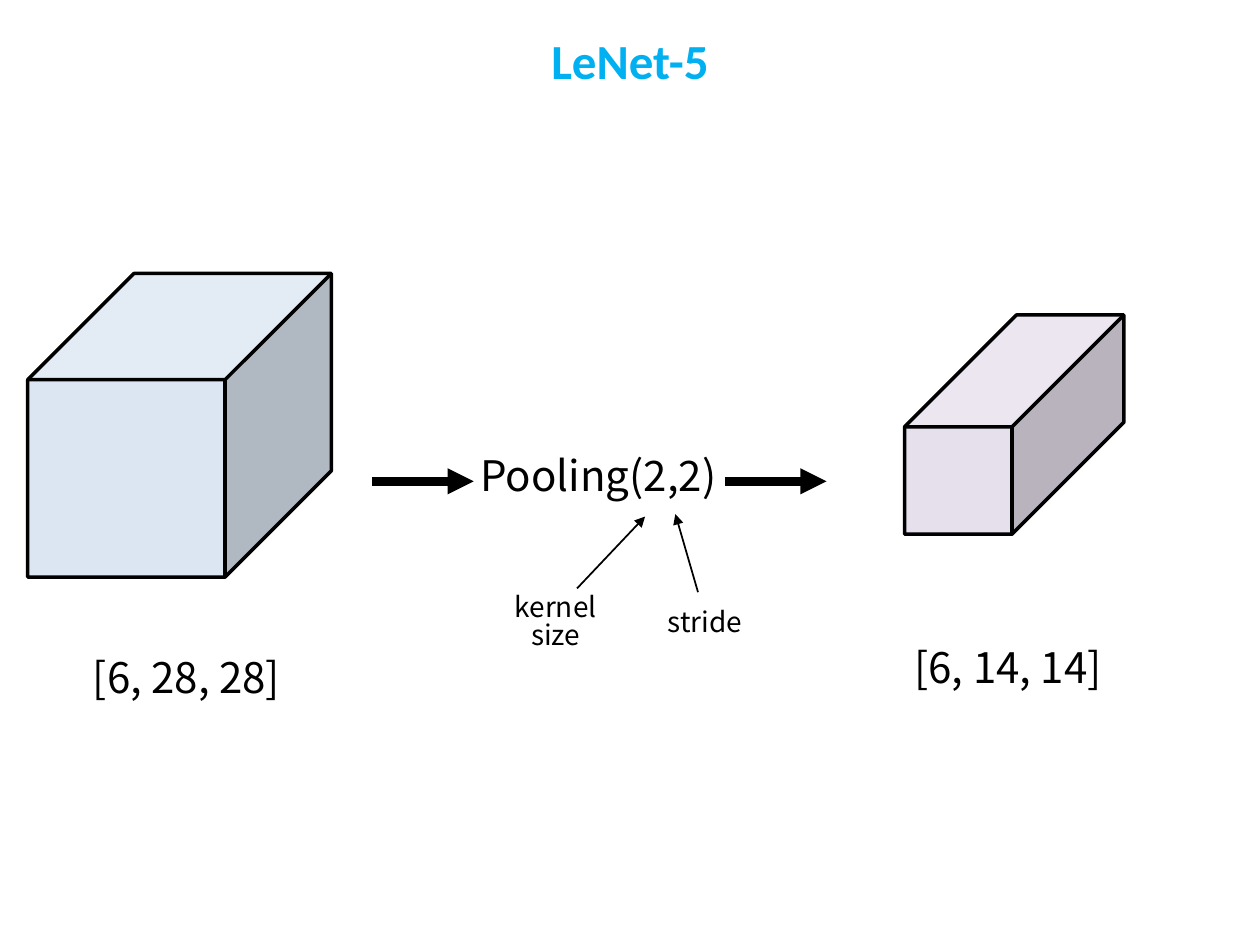
from dataclasses import dataclass

from lxml import etree
from pptx import Presentation
from pptx.dml.color import RGBColor
from pptx.enum.shapes import MSO_CONNECTOR, MSO_SHAPE
from pptx.enum.text import MSO_ANCHOR, PP_ALIGN
from pptx.oxml.ns import qn
from pptx.util import Inches, Pt

STRAIGHT = MSO_CONNECTOR.STRAIGHT
CUBE = MSO_SHAPE.CUBE
TOP, MIDDLE = MSO_ANCHOR.TOP, MSO_ANCHOR.MIDDLE
CENTER = PP_ALIGN.CENTER
TITLE_ONLY = 5

TITLE_FONT = "Calibri"
BODY_FONT = "Noto Sans CJK KR"
BLACK = "000000"
TITLE_BLUE = "00B0F0"
INPUT_BLUE = "DCE6F2"
OUTPUT_PURPLE = "E6E0EC"

FLOW_Y = 3.82
FLOW_LENGTH = 0.81


@dataclass
class FeatureMap:
    """A tensor drawn as a cube, with its shape written below."""
    left: float
    top: float
    size: float
    depth: float
    fill: str
    label: str
    label_left: float
    label_top: float


@dataclass
class Argument:
    """A note on a pooling argument, with the arrow that points to it."""
    text: str
    box: tuple[float, float, float, float]
    arrow_start: tuple[float, float]
    arrow_end: tuple[float, float]
    line_spacing: float


FEATURE_MAPS = [
    FeatureMap(0.22, 2.17, 2.41, 0.35, INPUT_BLUE, "[6, 28, 28]", 0.59, 5.17),
    FeatureMap(7.18, 2.5, 1.74, 0.51, OUTPUT_PURPLE, "[6, 14, 14]", 7.11, 5.09),
]
ARGUMENTS = [
    Argument("kernel\nsize", (3.92, 4.67, 0.98, 0.55), (4.58, 4.67), (5.12, 4.1), 0.82),
    Argument("stride", (5.15, 4.78, 0.89, 0.34), (5.54, 4.7), (5.36, 4.08), 0.9),
]
FLOW_STARTS = [2.95, 5.75]


def rgb(color: str) -> RGBColor:
    return RGBColor.from_string(color)


def place(shape, box: tuple[float, float, float, float]) -> None:
    shape.left, shape.top, shape.width, shape.height = map(Inches, box)


def write(shape, text: str, *, size: float = 24, font: str = BODY_FONT,
          color: str = BLACK, bold: bool = False, anchor=TOP,
          line_spacing: float = 0.9, inset: float | None = None) -> None:
    frame = shape.text_frame
    frame.word_wrap = True
    frame.vertical_anchor = anchor
    if inset is not None:
        frame.margin_left = frame.margin_right = Inches(inset)
        frame.margin_top = frame.margin_bottom = Inches(inset)
    frame.text = text
    for paragraph in frame.paragraphs:
        paragraph.alignment = CENTER
        paragraph.line_spacing = line_spacing
        for run in paragraph.runs:
            run.font.size = Pt(size)
            run.font.name = font
            run.font.bold = bold
            run.font.color.rgb = rgb(color)
            east_asian = etree.SubElement(run.font._element, qn("a:ea"))
            east_asian.set("typeface", font)


def add_label(shapes, text: str, box: tuple[float, float, float, float], **text_format) -> None:
    write(shapes.add_textbox(*map(Inches, box)), text, **text_format)


def add_arrow(shapes, start: tuple[float, float], end: tuple[float, float], weight: float) -> None:
    arrow = shapes.add_connector(STRAIGHT, *map(Inches, start + end))
    arrow.line.width = Pt(weight)
    arrow.line.color.rgb = rgb(BLACK)
    etree.SubElement(arrow.line._get_or_add_ln(), qn("a:tailEnd"), type="triangle")
    etree.SubElement(arrow._element.spPr, qn("a:effectLst"))


def add_feature_map(shapes, feature: FeatureMap) -> None:
    cube = shapes.add_shape(CUBE, *map(Inches, (feature.left, feature.top, feature.size, feature.size)))
    cube.adjustments[0] = feature.depth
    cube.shadow.inherit = False
    cube.fill.solid()
    cube.fill.fore_color.rgb = rgb(feature.fill)
    cube.line.color.rgb = rgb(BLACK)
    cube.line.width = Pt(2)
    add_label(shapes, feature.label, (feature.label_left, feature.label_top, 1.78, 0.6))


def add_pooling(shapes) -> None:
    """Group the pooling call with the notes on its arguments."""
    pooling = shapes.add_group_shape().shapes
    for argument in ARGUMENTS:
        add_arrow(pooling, argument.arrow_start, argument.arrow_end, 1)
        add_label(pooling, argument.text, argument.box, size=16, anchor=MIDDLE,
                  line_spacing=argument.line_spacing, inset=0)
    add_label(pooling, "Pooling(2,2)", (3.35, 3.56, 2.8, 0.55))


def main() -> None:
    deck = Presentation()
    deck.slide_width, deck.slide_height = Inches(10), Inches(7.5)
    slide = deck.slides.add_slide(deck.slide_layouts[TITLE_ONLY])
    shapes = slide.shapes

    place(shapes.title, (0, -0.05, 10, 1.05))
    write(shapes.title, "LeNet-5", size=28, font=TITLE_FONT, color=TITLE_BLUE,
          bold=True, anchor=MIDDLE, line_spacing=1)

    for start in FLOW_STARTS:
        add_arrow(shapes, (start, FLOW_Y), (start + FLOW_LENGTH, FLOW_Y), 5)
    add_pooling(shapes)
    for feature in FEATURE_MAPS:
        add_feature_map(shapes, feature)

    deck.save("out.pptx")


if __name__ == "__main__":
    main()
